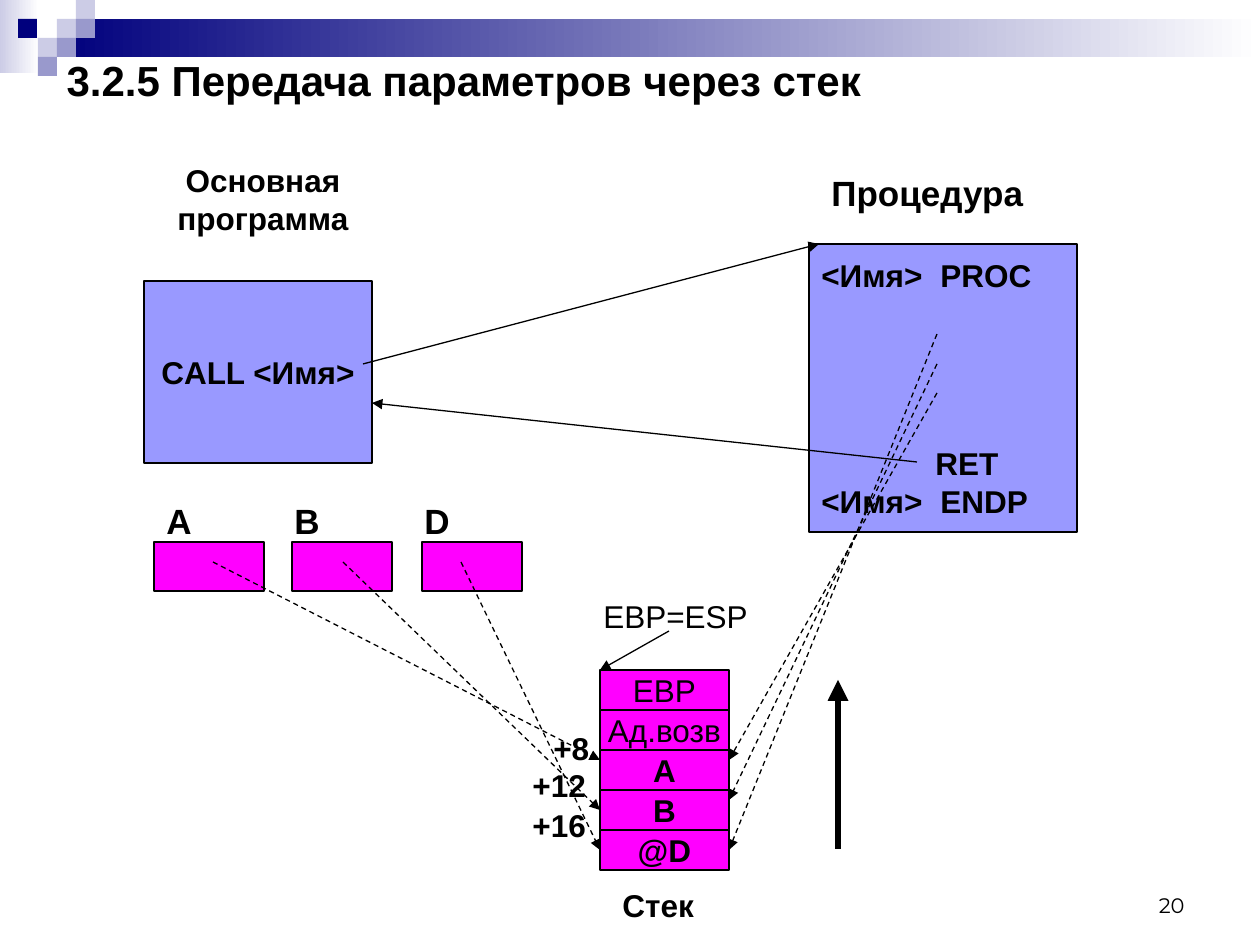
from dataclasses import dataclass
from typing import Optional

from lxml.etree import SubElement
from pptx import Presentation
from pptx.dml.color import RGBColor
from pptx.enum.dml import MSO_LINE
from pptx.enum.shapes import MSO_CONNECTOR, MSO_SHAPE
from pptx.enum.text import MSO_ANCHOR, MSO_AUTO_SIZE, PP_ALIGN
from pptx.oxml.ns import qn
from pptx.util import Emu, Pt

PX_PER_INCH = 126
COLORS = {
    "ink": "000000",
    "navy": "00007D",
    "pale": "CCCCE6",
    "muted": "9999CC",
    "code": "9999FF",
    "data": "FF00FF",
    "white": "FFFFFF",
}
LEFT_SIDE, RIGHT_SIDE = 1, 3


@dataclass
class Box:
    left: int
    top: int
    width: int
    height: int
    color: str
    fade: bool = False
    outlined: bool = False


@dataclass
class Label:
    left: int
    top: int
    width: int
    height: int
    text: str
    size: int = 18
    bold: bool = True
    align: PP_ALIGN = PP_ALIGN.LEFT
    font: str = "Arial"
    anchor: MSO_ANCHOR = MSO_ANCHOR.TOP


@dataclass
class Arrow:
    start: tuple[int, int]
    end: tuple[int, int]
    dashed: bool = False
    weight: float = 0.75
    target: Optional[object] = None
    side: int = LEFT_SIDE


def px(length: int) -> Emu:
    return Emu(round(length * 914400 / PX_PER_INCH))


def rgb(name: str) -> RGBColor:
    return RGBColor.from_string(COLORS[name])


def write(paragraph, text: str, size: int = 18, bold: bool = True,
          align: PP_ALIGN = PP_ALIGN.LEFT, font: str = "Arial") -> None:
    paragraph.alignment = align
    run = paragraph.add_run()
    run.text = text
    run.font.name = font
    run.font.size = Pt(size)
    run.font.bold = bold
    run.font.color.rgb = rgb("ink")


def draw_box(slide, box: Box):
    rectangle = slide.shapes.add_shape(
        MSO_SHAPE.RECTANGLE, px(box.left), px(box.top), px(box.width), px(box.height))
    rectangle.shadow.inherit = False
    if box.fade:
        rectangle.fill.gradient()
        rectangle.fill.gradient_angle = 0
        for stop, color in zip(rectangle.fill.gradient_stops, (box.color, "white")):
            stop.color.rgb = rgb(color)
    else:
        rectangle.fill.solid()
        rectangle.fill.fore_color.rgb = rgb(box.color)
    if box.outlined:
        rectangle.line.color.rgb = rgb("ink")
        rectangle.line.width = Pt(0.75)
    else:
        rectangle.line.fill.background()
    return rectangle


def draw_captioned(slide, box: Box, caption: str, bold: bool = True):
    rectangle = draw_box(slide, box)
    rectangle.text_frame.word_wrap = False
    rectangle.text_frame.vertical_anchor = MSO_ANCHOR.MIDDLE
    write(rectangle.text_frame.paragraphs[0], caption, bold=bold, align=PP_ALIGN.CENTER)
    return rectangle


def draw_label(slide, label: Label) -> None:
    frame = slide.shapes.add_textbox(
        px(label.left), px(label.top), px(label.width), px(label.height)).text_frame
    frame.word_wrap = True
    frame.vertical_anchor = label.anchor
    write(frame.paragraphs[0], label.text, label.size, label.bold, label.align, label.font)


def draw_arrow(slide, arrow: Arrow) -> None:
    connector = slide.shapes.add_connector(
        MSO_CONNECTOR.STRAIGHT, *map(px, arrow.start + arrow.end))
    if arrow.target is not None:
        connector.end_connect(arrow.target, arrow.side)
    connector.line.color.rgb = rgb("ink")
    connector.line.width = Pt(arrow.weight)
    if arrow.dashed:
        connector.line.dash_style = MSO_LINE.DASH
    SubElement(connector.line._get_or_add_ln(), qn("a:tailEnd"), type="triangle")
    SubElement(connector._element.spPr, qn("a:effectLst"))


def draw_header(slide) -> None:
    draw_box(slide, Box(0, 0, 39, 73, "pale", fade=True))
    draw_box(slide, Box(57, 19, 1203, 38, "navy", fade=True))
    for left, top, color in [
        (57, 19, "pale"), (76, 0, "pale"), (76, 19, "muted"), (38, 38, "pale"),
        (18, 19, "navy"), (57, 38, "muted"), (38, 57, "muted"),
    ]:
        draw_box(slide, Box(left, top, 19, 19, color))


def draw_title(slide) -> None:
    title = slide.shapes.title
    title.left, title.top, title.width, title.height = map(px, (54, 55, 1134, 49))
    title.text_frame.auto_size = MSO_AUTO_SIZE.NONE
    title.text_frame.vertical_anchor = MSO_ANCHOR.MIDDLE
    write(title.text_frame.paragraphs[0], "3.2.5 Передача параметров через стек", 24)


def draw_procedure(slide) -> None:
    frame = draw_box(slide, Box(809, 244, 268, 288, "code", outlined=True)).text_frame
    frame.word_wrap = True
    frame.vertical_anchor = MSO_ANCHOR.MIDDLE
    for index, statement in enumerate(["<Имя>\tPROC", "RET", "<Имя>\tENDP"]):
        paragraph = frame.add_paragraph() if index else frame.paragraphs[0]
        properties = paragraph._p.get_or_add_pPr()
        if statement == "RET":
            properties.set("marL", str(px(114)))
            properties.set("indent", "0")
            paragraph.space_before = Pt(86)
        else:
            tabs = SubElement(properties, qn("a:tabLst"))
            SubElement(tabs, qn("a:tab"), pos=str(px(119)), algn="l")
        write(paragraph, statement)


def draw_stack(slide) -> dict:
    cells = {}
    for row, caption in enumerate(["EBP", "Aд.возв", "A", "B", "@D"]):
        cell = Box(600, 670 + row * 40, 129, 40, "data", outlined=True)
        cells[caption] = draw_captioned(slide, cell, caption, bold=row >= 2)
    return cells


def main() -> None:
    presentation = Presentation()
    presentation.slide_width, presentation.slide_height = px(1260), px(945)
    slide = presentation.slides.add_slide(presentation.slide_layouts[5])
    draw_header(slide)
    draw_title(slide)
    draw_captioned(slide, Box(144, 281, 228, 182, "code", outlined=True), "CALL <Имя>")
    draw_procedure(slide)
    for name, left, width, label_left in [
        ("A", 154, 110, 154), ("B", 292, 100, 282), ("D", 422, 100, 412),
    ]:
        draw_box(slide, Box(left, 542, width, 49, "data", outlined=True))
        draw_label(slide, Label(label_left, 493, 69, 55, name, 20))
    stack = draw_stack(slide)
    for label in [
        Label(154, 155, 218, 88, "Основная программа", align=PP_ALIGN.CENTER),
        Label(819, 165, 268, 55, "Процедура", 20),
        Label(591, 591, 178, 50, "EBP=ESP", bold=False),
        Label(541, 723, 88, 50, "+8"),
        Label(520, 760, 108, 50, "+12"),
        Label(520, 800, 108, 50, "+16"),
        Label(610, 880, 110, 50, "Стек"),
        Label(903, 861, 294, 63, "20", 12, False, PP_ALIGN.RIGHT, "Montserrat",
              MSO_ANCHOR.BOTTOM),
    ]:
        draw_label(slide, label)
    for arrow in [
        Arrow((363, 364), (819, 244)),
        Arrow((917, 462), (372, 403)),
        Arrow((937, 334), (729, 850), True, target=stack["@D"], side=RIGHT_SIDE),
        Arrow((937, 364), (729, 800), True),
        Arrow((937, 393), (729, 760), True),
        Arrow((669, 631), (600, 670)),
        Arrow((461, 562), (600, 850), True, target=stack["@D"]),
        Arrow((343, 562), (600, 810), True, target=stack["B"]),
        Arrow((213, 562), (600, 760), True),
        Arrow((838, 849), (838, 680), weight=4),
    ]:
        draw_arrow(slide, arrow)
    presentation.save("out.pptx")


if __name__ == "__main__":
    main()
